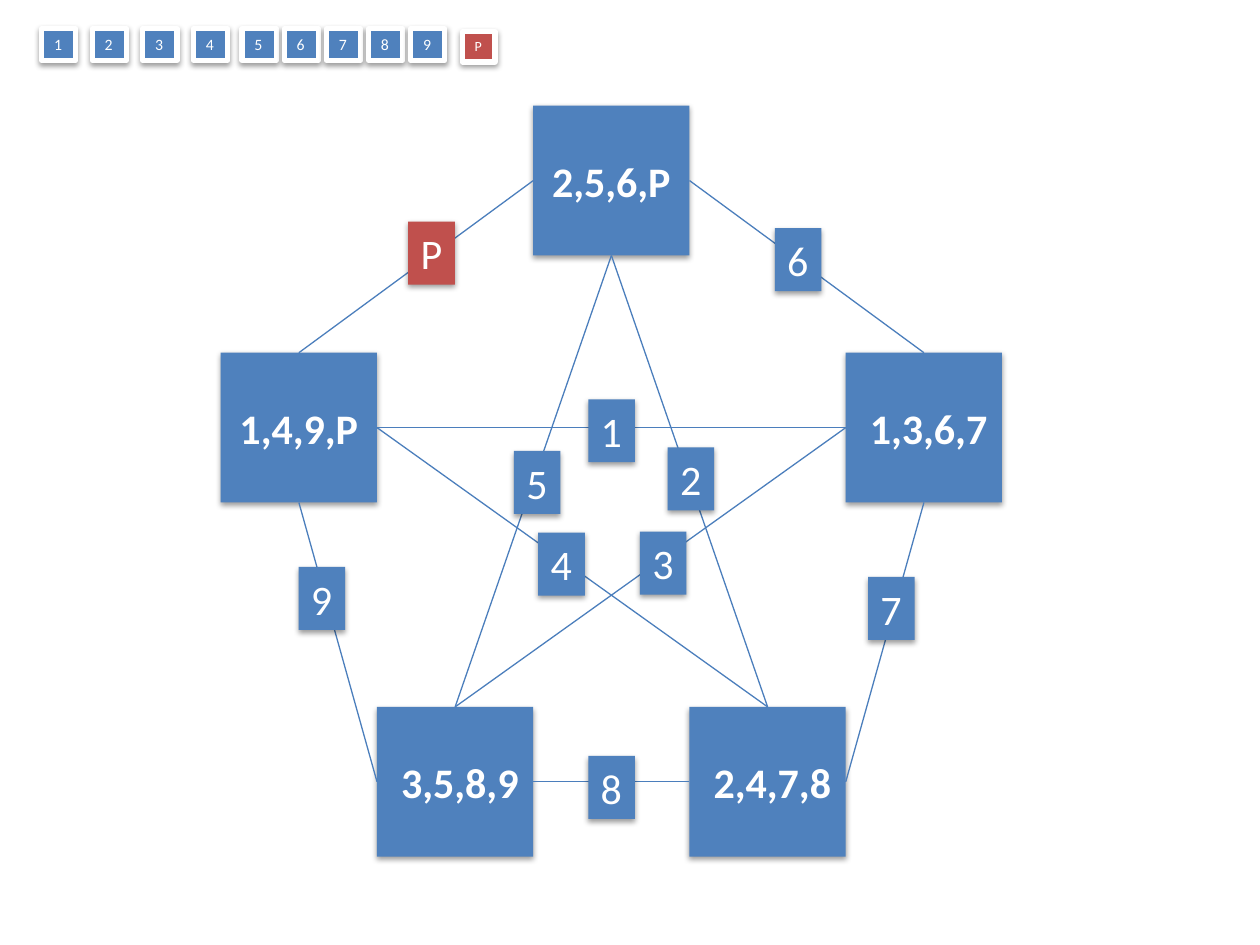
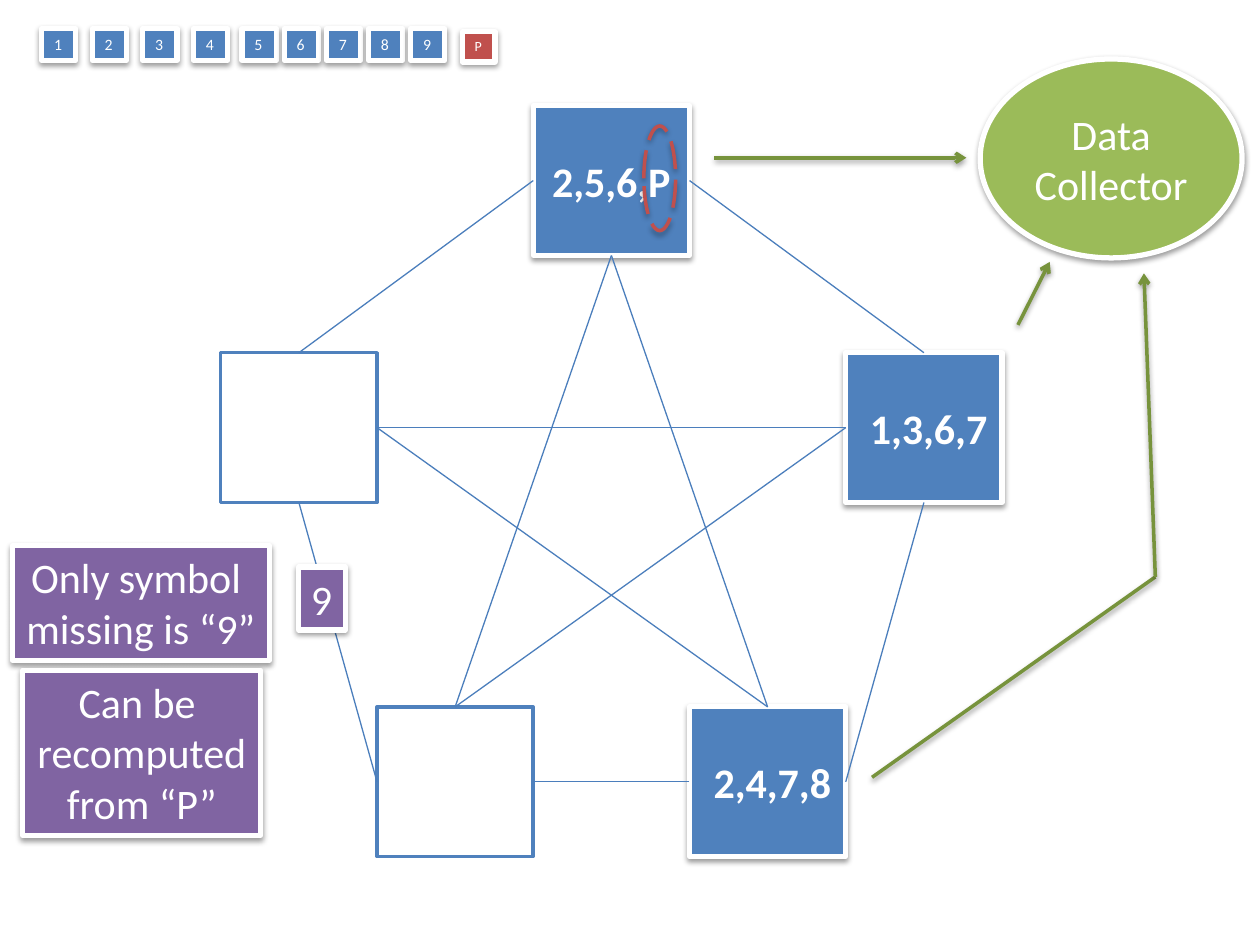
from lxml import etree
from pptx import Presentation
from pptx.dml.color import RGBColor
from pptx.enum import dml, shapes, text
from pptx.oxml.ns import qn
from pptx.util import Cm, Pt

COLORS = {
    "blue": "4F81BD", "edge": "4B7EBC", "red": "C0504D", "green": "9BBB59",
    "arrow": "77933C", "purple": "8064A2", "white": "FFFFFF", "black": "000000",
}
COLORS = {name: RGBColor.from_string(value) for name, value in COLORS.items()}
RECTANGLE = shapes.MSO_SHAPE.RECTANGLE
OVAL = shapes.MSO_SHAPE.OVAL
STRAIGHT = shapes.MSO_CONNECTOR.STRAIGHT
LEFT, CENTER = text.PP_ALIGN.LEFT, text.PP_ALIGN.CENTER
TOP_SIDE, LEFT_SIDE, BOTTOM_SIDE, RIGHT_SIDE = range(4)

NODE_WIDTH, NODE_HEIGHT = 3.15, 3.02
FIRST_COLUMN = 4.45
NODES = {
    "top": (2, 2.13, "2,5,6,P"),
    "left": (0, 7.11, "1,4,9,P"),
    "right": (4, 7.11, " 1,3,6,7"),
    "lower left": (1, 14.25, " 3,5,8,9"),
    "lower right": (3, 14.25, " 2,4,7,8"),
}
EDGES = [
    ("left", TOP_SIDE, "top", LEFT_SIDE),
    ("top", RIGHT_SIDE, "right", TOP_SIDE),
    ("right", BOTTOM_SIDE, "lower right", RIGHT_SIDE),
    ("lower right", LEFT_SIDE, "lower left", RIGHT_SIDE),
    ("left", BOTTOM_SIDE, "lower left", LEFT_SIDE),
    ("top", BOTTOM_SIDE, "lower left", TOP_SIDE),
    ("lower left", TOP_SIDE, "right", LEFT_SIDE),
    ("right", LEFT_SIDE, "left", RIGHT_SIDE),
    ("left", RIGHT_SIDE, "lower right", TOP_SIDE),
    ("lower right", TOP_SIDE, "top", BOTTOM_SIDE),
]
SYMBOLS = {
    "P": (8.23, 4.47), "4": (10.85, 10.74), "8": (11.86, 15.24),
    "7": (17.5, 11.63), "6": (15.62, 4.6), "1": (11.86, 8.05),
    "2": (13.46, 9.02), "3": (12.9, 10.72), "5": (10.36, 9.09),
    "9": (6.02, 11.43),
}
SYMBOL_SIZE = (0.94, 1.27)
ARROWS = [
    ((14.4, 3.18), (19.48, 3.18), True),
    ((20.52, 6.55), (21.16, 5.28), True),
    ((17.58, 15.67), (23.29, 11.63), False),
    ((23.29, 11.63), (23.06, 5.51), True),
]
NOTES = [
    ((0.25, 11, 5.18, 2.31), ["Only symbol ", "missing is “9”"]),
    ((0.46, 13.51, 4.8, 3.33), ["Can be ", "recomputed ", "from “P”"]),
]


def set_shadow(shape, opacity=38, distance=20000):
    effects = etree.SubElement(shape._element.spPr, qn("a:effectLst"))
    if opacity:
        shadow = etree.SubElement(
            effects, qn("a:outerShdw"), blurRad="40000", dist=str(distance),
            dir="5400000", rotWithShape="0")
        color = etree.SubElement(shadow, qn("a:srgbClr"), val=str(COLORS["black"]))
        etree.SubElement(color, qn("a:alpha"), val=str(opacity * 1000))


def add_box(slide, kind, place, fill, lines=(), line=None, line_width=3, size=24,
            bold=False, align=CENTER, tight=False, opacity=38, distance=20000):
    shape = slide.shapes.add_shape(kind, *map(Cm, place))
    if fill:
        shape.fill.solid()
        shape.fill.fore_color.rgb = COLORS[fill]
    else:
        shape.fill.background()
    if line:
        shape.line.color.rgb = COLORS[line]
        shape.line.width = Pt(line_width)
    else:
        shape.line.fill.background()
    set_shadow(shape, opacity, distance)
    frame = shape.text_frame
    if tight:
        frame.word_wrap = False
        frame.auto_size = text.MSO_AUTO_SIZE.SHAPE_TO_FIT_TEXT
        frame.vertical_anchor = text.MSO_ANCHOR.TOP
    for index, content in enumerate(lines):
        paragraph = frame.add_paragraph() if index else frame.paragraphs[0]
        paragraph.text = content
        paragraph.alignment = align
        paragraph.font.name = "Calibri"
        paragraph.font.size = Pt(size)
        paragraph.font.bold = bold
        paragraph.font.color.rgb = COLORS["white"]
    return shape


presentation = Presentation()
presentation.slide_width = Cm(25.4)
presentation.slide_height = Cm(19.05)

for border, failed in [(None, ()), ("white", ("left", "lower left"))]:
    slide = presentation.slides.add_slide(presentation.slide_layouts[6])

    nodes = {}
    for name, (column, top, content) in NODES.items():
        place = (FIRST_COLUMN + column * NODE_WIDTH, top, NODE_WIDTH, NODE_HEIGHT)
        if name in failed:
            nodes[name] = add_box(slide, RECTANGLE, place, "white", line="blue",
                                  line_width=2, opacity=0)
        else:
            nodes[name] = add_box(slide, RECTANGLE, place, "blue", [content],
                                  line=border, bold=True)

    for start, start_side, end, end_side in EDGES:
        edge = slide.shapes.add_connector(STRAIGHT, 0, 0, 0, 0)
        edge.begin_connect(nodes[start], start_side)
        edge.end_connect(nodes[end], end_side)
        edge.line.color.rgb = COLORS["edge"]
        edge.line.width = Pt(0.75)
        set_shadow(edge, 0)

    for symbol, corner in SYMBOLS.items():
        if failed and symbol != "9":
            continue
        fill = "purple" if failed else "red" if symbol == "P" else "blue"
        add_box(slide, RECTANGLE, corner + SYMBOL_SIZE, fill, [symbol],
                line=border, align=LEFT, tight=True)

    for index in range(9):
        left = 0.84 + 1.02 * index if index < 4 else 4.88 + 0.85 * (index - 4)
        add_box(slide, RECTANGLE, (left, 0.58, 0.69, 0.64), "blue", [str(index + 1)],
                line="white", size=9, align=LEFT, tight=True)
    add_box(slide, RECTANGLE, (9.32, 0.64, 0.66, 0.61), "red", ["P"],
            line="white", size=8, align=LEFT, tight=True)

add_box(slide, OVAL, (19.76, 1.19, 5.28, 4.01), "green", ["Data Collector"], line="white")

for start, end, has_head in ARROWS:
    arrow = slide.shapes.add_connector(STRAIGHT, *map(Cm, start + end))
    arrow.line.color.rgb = COLORS["arrow"]
    arrow.line.width = Pt(2)
    if has_head:
        etree.SubElement(arrow.line._get_or_add_ln(), qn("a:tailEnd"), type="arrow")
    set_shadow(arrow)

for place, lines in NOTES:
    add_box(slide, RECTANGLE, place, "purple", lines, line="white", tight=True)

ring = add_box(slide, OVAL, (12.98, 2.54, 0.64, 2.11), None, line="red",
               line_width=2, opacity=35, distance=23000)
ring.line.dash_style = dml.MSO_LINE.LONG_DASH

presentation.save("out.pptx")
